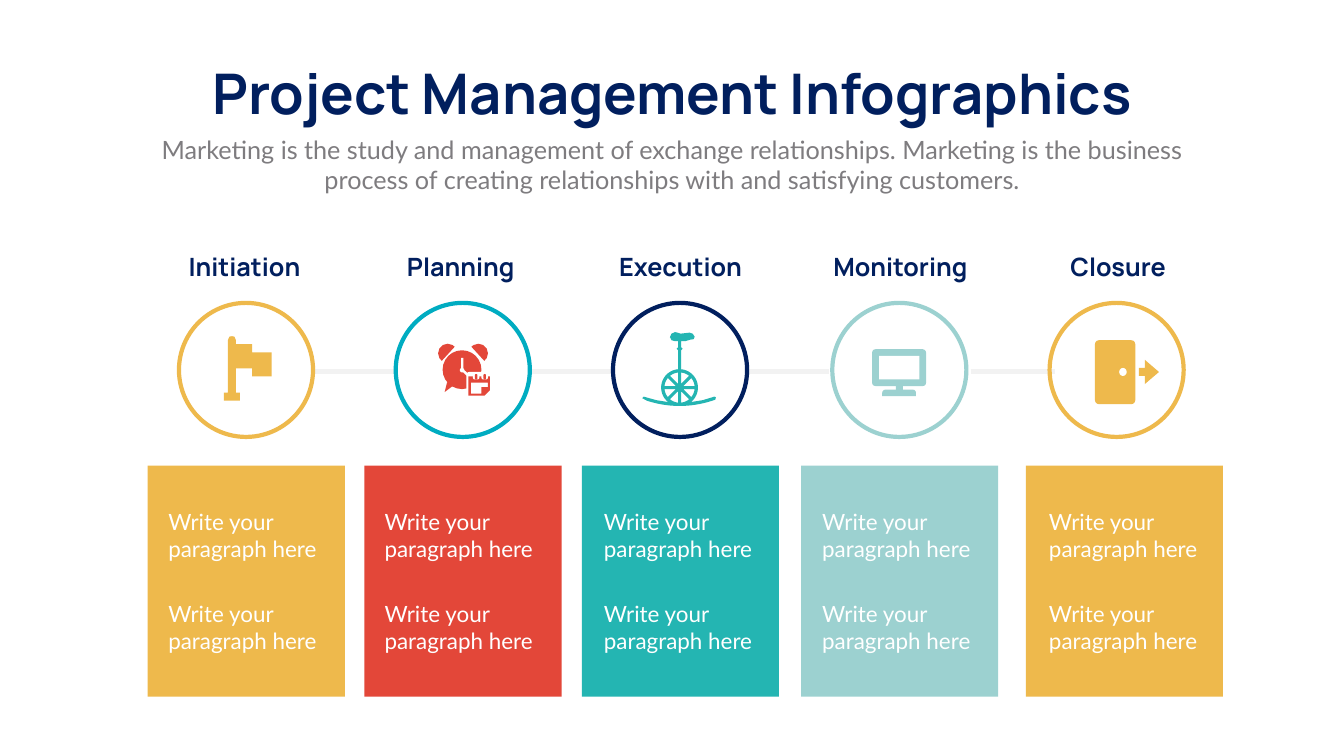
from math import asin, cos, pi, sin

from lxml.etree import SubElement
from pptx import Presentation
from pptx.dml.color import RGBColor
from pptx.enum.shapes import MSO_CONNECTOR, MSO_SHAPE
from pptx.enum.text import MSO_AUTO_SIZE, PP_ALIGN
from pptx.oxml.ns import qn
from pptx.util import Inches, Pt

NAVY = RGBColor(0x01, 0x1F, 0x5E)
GREY = RGBColor(0x7E, 0x7C, 0x7F)
PALE = RGBColor(0xF2, 0xF2, 0xF2)
WHITE = RGBColor(0xFF, 0xFF, 0xFF)
GOLD = RGBColor(0xEE, 0xB9, 0x4C)
RED = RGBColor(0xE3, 0x47, 0x39)
CYAN = RGBColor(0x00, 0xAC, 0xC1)
TEAL = RGBColor(0x24, 0xB5, 0xB2)
MINT = RGBColor(0x9C, 0xD1, 0xD0)

OVAL, RECT = MSO_SHAPE.OVAL, MSO_SHAPE.RECTANGLE
ROUND, CHORD = MSO_SHAPE.ROUNDED_RECTANGLE, MSO_SHAPE.CHORD
FOOT, ARROW = MSO_SHAPE.ROUND_2_SAME_RECTANGLE, MSO_SHAPE.RIGHT_ARROW

# Content
TITLE = "Project Management Infographics"
INTRO = ("Marketing is the study and management of exchange relationships. Marketing is "
         "the business process of creating relationships with and satisfying customers.")
NOTES = ["Write your paragraph here"] * 2
STAGES = [  # name, ring colour, card colour, then x of label centre, ring centre, card, notes
    ("Initiation", GOLD, GOLD, 4.85, 4.88, 2.93, 3.24),
    ("Planning", CYAN, RED, 9.14, 9.18, 7.23, 7.53),
    ("Execution", NAVY, TEAL, 13.5, 13.49, 11.54, 11.88),
    ("Monitoring", MINT, MINT, 17.86, 17.84, 15.89, 16.21),
    ("Closure", GOLD, GOLD, 22.18, 22.15, 20.35, 20.71),
]
LINK_STARTS = [6.2, 10.5, 14.79, 19.26]


def arc(x, y, radius, start, end, steps=12):
    angles = [start + (end - start) * k / steps for k in range(steps + 1)]
    return [(x + radius * cos(a), y + radius * sin(a)) for a in angles]


# Icon parts, in hundredths of an inch from the ring centre:
# (preset, left, top, width, height, colour, adjustments),
# ("fill", colour, contour, *holes) or ("stroke", colour, points, points wide)
FLAG = [
    ("fill", GOLD, [(-36, 45), (-44, 45), (-44, 61), (-12, 61), (-12, 45), (-20, 45), (-20, -3),
                    (12, -3), (12, 13), (51, 13), (51, -35), (12, -35), (12, -51), (-20, -51),
                    (-20, -59), (-23, -66), (-28, -67), (-33, -66), (-36, -59)]),
]
CLOCK = [
    (CHORD, -49, -52, 38, 38, RED, (128 * 0.6, 317 * 0.6)),
    (CHORD, 12, -52, 38, 38, RED, (223 * 0.6, 52 * 0.6)),
    (OVAL, -40, -39, 77, 77, RED, ()),
    ("fill", RED, [(-31, 24), (-36, 44), (-20, 32)]),
    ("stroke", WHITE, [(-1, -24), (-1, 0), (13, 13)], 3.5),
    (OVAL, -6, -4, 9, 9, WHITE, ()),
    (ROUND, 7, 4, 51, 52, WHITE, (0.12,)),
    ("fill", RED, [(11, 13), (54, 13), (54, 40), (43, 51), (11, 51)],
     [(16, 25), (50, 25), (50, 34), (37, 34), (37, 47), (16, 47)]),
]
for ring_x in (24, 41):
    CLOCK += [(ROUND, ring_x - 4, 9, 13, 10, WHITE, (0.4,)),
              (ROUND, ring_x, 8, 5, 11, RED, (0.5,))]

# Unicycle: saddle, post, wheel and ground in one outline, with gaps between the spokes
AXLE_X, AXLE_Y, TYRE, RIM, HUB, HALF_SPOKE = -1, 35, 36.5, 30, 9, 3
SADDLE = [(-4, -57), (-10, -57), (-17, -59), (-20, -65), (-17, -72), (-10, -75), (-5, -74),
          (1, -72), (19, -74), (25, -72), (29, -66), (27, -61), (20, -60), (10, -57), (2, -57)]
COLLAR = [(2, -45), (5, -42), (2, -39)]
GROUND_TOP = [(20, 64), (45, 60), (68, 53)]
GROUND_BASE = [(x, 71.5 - 12.5 * ((x + 1) / 71) ** 2) for x in range(70, -73, -8)]
SILHOUETTE = [
    *SADDLE, *COLLAR,
    *arc(AXLE_X, AXLE_Y, TYRE, -pi / 2 + 0.08, 0.3 * pi, 24),
    *GROUND_TOP, (71, 54), *GROUND_BASE, (-75, 56), (-72, 53), (-47, 60), (-22, 64),
    *arc(AXLE_X, AXLE_Y, TYRE, 0.7 * pi, 1.5 * pi - 0.08, 24),
    *[(-2 - x, y) for x, y in reversed(COLLAR)],
]
GAPS = []
for k in range(8):
    inner, outer = asin(HALF_SPOKE / HUB), asin(HALF_SPOKE / RIM)
    start, end = k * pi / 4, (k + 1) * pi / 4
    GAPS.append(arc(AXLE_X, AXLE_Y, RIM, start + outer, end - outer, 8)
                + arc(AXLE_X, AXLE_Y, HUB, end - inner, start + inner, 2))
UNICYCLE = [("fill", TEAL, SILHOUETTE, *GAPS)]
MONITOR = [
    (ROUND, -54, -41, 107, 73, MINT, (0.09,)),
    (RECT, -40, -28, 80, 47, WHITE, ()),
    (RECT, -7, 32, 14, 8, MINT, ()),
    (FOOT, -34, 39, 67, 13, MINT, (0.5, 0)),
]
DOOR = [
    (ROUND, -43, -59, 80, 127, GOLD, (0.1,)),
    (OVAL, 5, -4, 15, 16, WHITE, ()),
    (ARROW, 44, -20, 40, 48, GOLD, (0.33, 0.7)),
]
ICONS = [FLAG, CLOCK, UNICYCLE, MONITOR, DOOR]

# Rows and sizes, in inches
RING_Y, RING, LINK_Y, LINK = 7.34, 2.66, 7.37, 1.66
CARD_W, CARD_H, CARD_Y = 3.91, 4.58, 9.24
NOTE_Y, NOTE_STEP = 10.03, 1.83

prs = Presentation()
prs.slide_width, prs.slide_height = Inches(26.66), Inches(15)
s = prs.slides.add_slide(prs.slide_layouts[6])


def paint(sp, fill=None, line=None, width=6):
    sp.shadow.inherit = False
    if fill is None:
        sp.fill.background()
    else:
        sp.fill.solid()
        sp.fill.fore_color.rgb = fill
    if line is None:
        sp.line.fill.background()
    else:
        sp.line.color.rgb = line
        sp.line.width = Pt(width)


def add_preset(kind, x, y, w, h, adjustments=(), **style):
    sp = s.shapes.add_shape(kind, Inches(x), Inches(y), Inches(w), Inches(h))
    for i, value in enumerate(adjustments):
        sp.adjustments[i] = value
    paint(sp, **style)


def add_outline(contours, cx, cy, closed=True, **style):
    contours = [[(Inches(cx + x / 100), Inches(cy + y / 100)) for x, y in c] for c in contours]
    builder = s.shapes.build_freeform(*contours[0][0])
    for i, points in enumerate(contours):
        if i:
            builder.move_to(*points[0])
        builder.add_line_segments(points[1:], close=closed)
    paint(builder.convert_to_shape(), **style)


def add_text(text, x, y, w, h, size, font, color, bold=False, align=PP_ALIGN.CENTER, wrap=True):
    tf = s.shapes.add_textbox(Inches(x), Inches(y), Inches(w), Inches(h)).text_frame
    tf.word_wrap = wrap
    tf.auto_size = MSO_AUTO_SIZE.SHAPE_TO_FIT_TEXT
    p = tf.paragraphs[0]
    p.alignment = align
    r = p.add_run()
    r.text = text
    r.font.size, r.font.name, r.font.bold = Pt(size), font, bold
    r.font.color.rgb = color


def add_icon(parts, cx, cy):
    for kind, *part in parts:
        if kind == "fill":
            color, *contours = part
            add_outline(contours, cx, cy, fill=color)
        elif kind == "stroke":
            color, points, width = part
            add_outline([points], cx, cy, closed=False, line=color, width=width)
        else:
            x, y, w, h, color, adjustments = part
            add_preset(kind, cx + x / 100, cy + y / 100, w / 100, h / 100,
                       adjustments, fill=color)


# Heading
add_text(TITLE, 3.36, 1.12, 19.95, 1.45, 80, "Manrope", NAVY, bold=True, wrap=False)
add_text(INTRO, 2.92, 2.61, 20.82, 1.31, 36, "Lato", GREY)

# Links between the rings
for x in LINK_STARTS:
    link = s.shapes.add_connector(MSO_CONNECTOR.STRAIGHT, Inches(x), Inches(LINK_Y),
                                  Inches(x + LINK), Inches(LINK_Y))
    link.line.color.rgb, link.line.width = PALE, Pt(6)
    SubElement(link._element.spPr, qn("a:effectLst"))

# One column per stage: label, ring, icon, card
for (name, ring_color, card_color, label_x, cx, card_x, note_x), icon in zip(STAGES, ICONS):
    add_text(name, label_x - 1.65, 4.94, 3.3, 0.71, 36, "Manrope", NAVY, bold=True)
    add_preset(OVAL, cx - RING / 2, RING_Y - RING / 2, RING, RING, line=ring_color)
    add_icon(icon, cx, RING_Y)
    add_preset(RECT, card_x, CARD_Y, CARD_W, CARD_H, fill=card_color)
    for row, note in enumerate(NOTES):
        add_text(note, note_x, NOTE_Y + row * NOTE_STEP, 3.23, 1.18, 32, "Lato", WHITE,
                 align=PP_ALIGN.LEFT)

prs.save("out.pptx")
